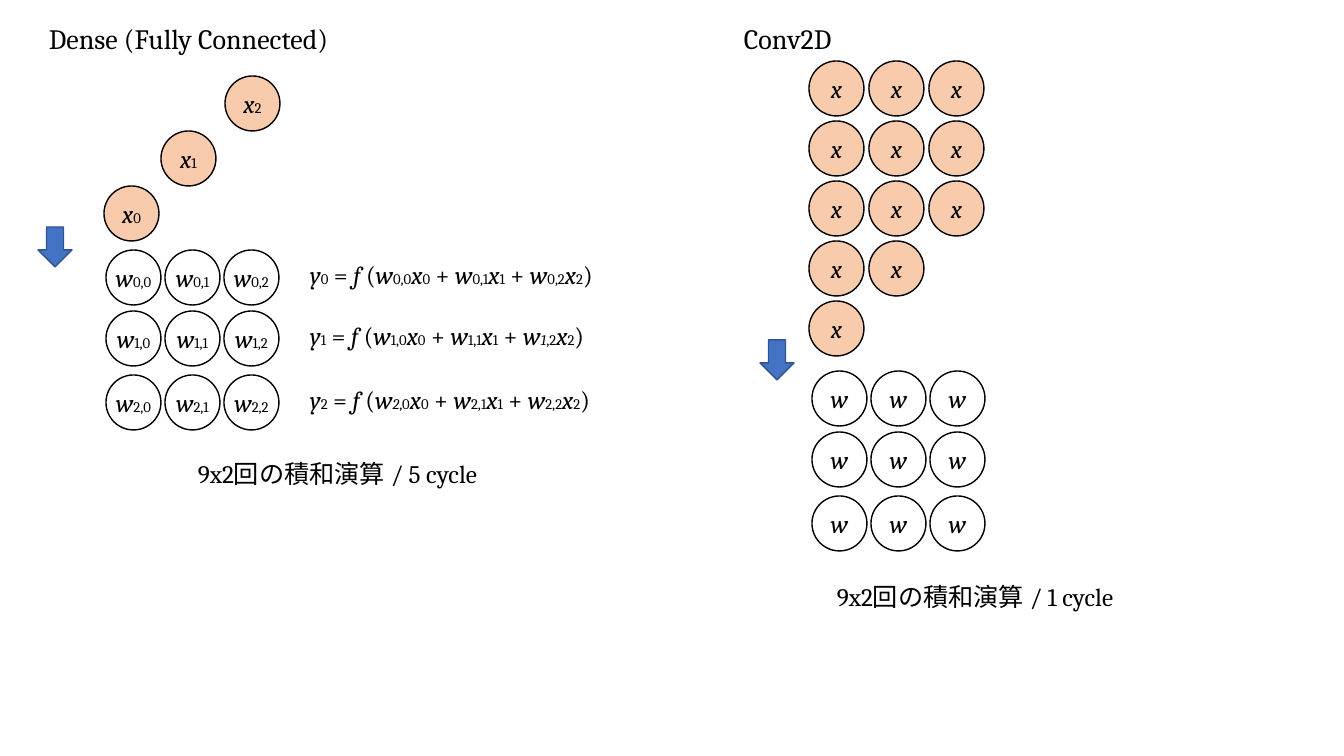
from dataclasses import dataclass

import pptx
import pptx.dml.color
import pptx.enum.shapes
import pptx.enum.text
import pptx.util

EMU_PER_PIXEL = 914400 / 100.8
CIRCLE_SIZE = 55
WEIGHT_STEP = 59
WEIGHT_ROWS = (0, 61, 125)
INPUT_STEP = 60
ITALIC_ROW_NUMBERS = {(1, 2), (2, 0)}  # weights in the formulas


@dataclass(frozen=True)
class Theme:
    font: str = "Cambria"
    text: str = "000000"
    weight: str = "FFFFFF"
    input: str = "F8CBAD"
    arrow: str = "4472C4"
    arrow_line: str = "325491"
    heading_size: float = 20
    body_size: float = 18
    index_size: float = 10.5
    line_width: float = 1


THEME = Theme()


def px(value):
    return pptx.util.Emu(round(value * EMU_PER_PIXEL))


def color(value):
    return pptx.dml.color.RGBColor.from_string(value)


# Text pieces are (text, size, italic)
def plain(text, size=THEME.body_size):
    return [(text, size, False)]


def variable(name, index="", italic_row=False):
    pieces = [(name, THEME.body_size, True)]
    if italic_row:
        pieces.append((index[0], THEME.index_size, True))
        index = index[1:]
    if index:
        pieces.append((index, THEME.index_size, False))
    return pieces


def formula(row):
    pieces = variable("y", str(row)) + plain(" = ") + variable("f ") + plain("(")
    for column in range(3):
        if column:
            pieces += plain(" + ")
        italic_row = (row, column) in ITALIC_ROW_NUMBERS
        pieces += variable("w", f"{row},{column}", italic_row)
        pieces += variable("x", str(column))
    return pieces + plain(")")


def write(paragraph, pieces):
    for text, size, italic in pieces:
        run = paragraph.add_run()
        run.text = text
        run.font.name = THEME.font
        run.font.size = pptx.util.Pt(size)
        run.font.italic = italic
        run.font.color.rgb = color(THEME.text)


def add_preset(slide, kind, left, top, width, height, fill, line):
    shape = slide.shapes.add_shape(kind, px(left), px(top), px(width), px(height))
    shape.shadow.inherit = False
    shape.fill.solid()
    shape.fill.fore_color.rgb = color(fill)
    shape.line.color.rgb = color(line)
    shape.line.width = pptx.util.Pt(THEME.line_width)
    return shape


def add_circle(slide, left, top, fill, pieces):
    shape = add_preset(slide, pptx.enum.shapes.MSO_SHAPE.OVAL, left, top,
                       CIRCLE_SIZE, CIRCLE_SIZE, fill, THEME.text)
    frame = shape.text_frame
    frame.margin_left = frame.margin_right = 0
    frame.margin_top = frame.margin_bottom = 0
    frame.vertical_anchor = pptx.enum.text.MSO_ANCHOR.MIDDLE
    paragraph = frame.paragraphs[0]
    paragraph.alignment = pptx.enum.text.PP_ALIGN.CENTER
    write(paragraph, pieces)


def add_arrow(slide, left, top):
    add_preset(slide, pptx.enum.shapes.MSO_SHAPE.DOWN_ARROW, left, top,
               34, 40, THEME.arrow, THEME.arrow_line)


def add_text(slide, left, top, width, height, pieces, wrap=False):
    box = slide.shapes.add_textbox(px(left), px(top), px(width), px(height))
    box.text_frame.word_wrap = wrap
    box.text_frame.auto_size = pptx.enum.text.MSO_AUTO_SIZE.SHAPE_TO_FIT_TEXT
    write(box.text_frame.paragraphs[0], pieces)


def add_heading(slide, left, text):
    add_text(slide, left, 17, 372, 44, plain(text, THEME.heading_size), wrap=True)


def add_cost(slide, left, top, cycles):
    add_text(slide, left, top, 315, 40, plain(f"9x2回の積和演算 / {cycles} cycle"))


def add_weights(slide, left, top, indexed):
    for row, offset in enumerate(WEIGHT_ROWS):
        for column in range(3):
            index = f"{row},{column}" if indexed else ""
            add_circle(slide, left + column * WEIGHT_STEP, top + offset,
                       THEME.weight, variable("w", index))


def add_dense(slide):
    weights_top = 250
    add_weights(slide, 106, weights_top, indexed=True)
    for row, offset in enumerate(WEIGHT_ROWS):
        add_text(slide, 300, weights_top + offset + 4, 327, 40, formula(row))
    # Inputs arrive one cycle apart
    for number, (left, top) in enumerate([(104, 186), (161, 131), (225, 76)]):
        add_circle(slide, left, top, THEME.input, variable("x", str(number)))
    add_arrow(slide, 38, 227)
    add_cost(slide, 188, 453, 5)
    add_heading(slide, 39, "Dense (Fully Connected)")


def add_convolution(slide):
    add_heading(slide, 734, "Conv2D")
    add_weights(slide, 812, 371, indexed=False)
    # Input stream, staggered at its lower end
    for row, count in enumerate((3, 3, 3, 2, 1)):
        for column in range(count):
            add_circle(slide, 809 + column * INPUT_STEP, 61 + row * INPUT_STEP,
                       THEME.input, variable("x"))
    add_arrow(slide, 760, 340)
    add_cost(slide, 827, 576, 1)


def main():
    presentation = pptx.Presentation()
    presentation.slide_width = px(1344)
    presentation.slide_height = px(756)
    blank_layout = presentation.slide_layouts[6]
    slide = presentation.slides.add_slide(blank_layout)
    add_dense(slide)
    add_convolution(slide)
    presentation.save("out.pptx")


main()
